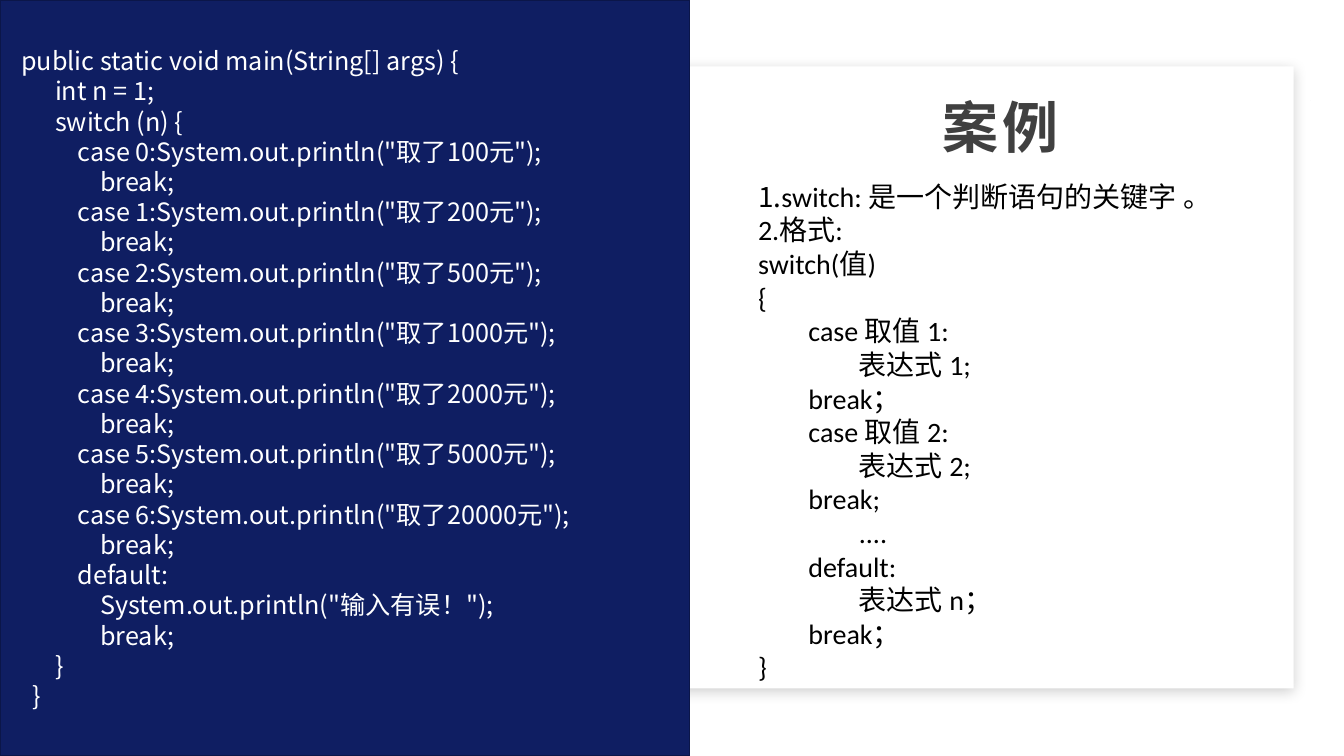
import math
from dataclasses import dataclass

from lxml import etree
from pptx import Presentation
from pptx import util as u
from pptx.dml.color import RGBColor
from pptx.enum import shapes, text
from pptx.oxml import ns


@dataclass(frozen=True)
class Theme:
    navy: str = "0F1E62"
    outline: str = "0B1649"
    white: str = "FFFFFF"
    black: str = "000000"
    heading: str = "404040"
    shadow: str = "0D0D0D"
    sans: str = "Noto Sans CJK SC"
    latin: str = "Calibri"
    title_size: int = 40
    note_size: int = 20
    code_size: int = 18


@dataclass(frozen=True)
class Area:
    left: float
    top: float
    width: float
    height: float

    def lengths(self):
        return [u.Inches(side) for side in (self.left, self.top, self.width, self.height)]


@dataclass(frozen=True)
class Style:
    size: int
    color: str
    latin: str
    bold: bool = False
    tracking: int = 0


THEME = Theme()
TITLE = Style(THEME.title_size, THEME.heading, THEME.sans, True, 300)
CODE = Style(THEME.code_size, THEME.white, THEME.sans)
NUMBER = Style(THEME.note_size, THEME.black, THEME.sans)
NOTE = Style(THEME.note_size, THEME.black, THEME.latin)

AMOUNTS = (100, 200, 500, 1000, 2000, 5000, 20000)
CASES = [
    line
    for index, amount in enumerate(AMOUNTS)
    for line in (
        f'            case {index}:System.out.println("取了{amount}元");',
        "                break;",
    )
]
CODE_LINES = [
    "  public static void main(String[] args) {",
    "        int n = 1;",
    "        switch (n) {",
    *CASES,
    "            default:",
    '                System.out.println("输入有误！");',
    "                break;",
    "        }",
    "    }",
]
SYNTAX_LINES = [
    "2.格式:",
    "switch(值)",
    "{",
    "\tcase 取值 1:",
    "\t\t表达式 1;",
    "\tbreak；",
    "\tcase 取值 2:",
    "\t\t表达式 2;",
    "\tbreak;",
    "\t\t....",
    "\tdefault:",
    "\t\t表达式 n；",
    "\tbreak；",
    "}",
]


def add_span(para, content: str, style: Style) -> None:
    span = para.add_run()
    span.text = content
    span.font.size = u.Pt(style.size)
    span.font.bold = style.bold
    span.font.color.rgb = RGBColor.from_string(style.color)
    span.font.name = style.latin
    properties = span.font._element
    etree.SubElement(properties, ns.qn("a:ea"), typeface=THEME.sans)
    if style.tracking:
        properties.set("spc", str(style.tracking))


def write_lines(frame, lines: list[list[tuple[str, Style]]]) -> None:
    frame.word_wrap = True
    for index, spans in enumerate(lines):
        para = frame.paragraphs[0] if index == 0 else frame.add_paragraph()
        para.alignment = text.PP_ALIGN.LEFT
        for content, style in spans:
            add_span(para, content, style)


def paint(shape, color: str) -> None:
    shape.shadow.inherit = False
    shape.fill.solid()
    shape.fill.fore_color.rgb = RGBColor.from_string(color)
    shape.line.fill.background()


def add_panel(page, area: Area, color: str):
    panel = page.shapes.add_shape(shapes.MSO_SHAPE.RECTANGLE, *area.lengths())
    paint(panel, color)
    return panel


def add_dots(page) -> None:
    left, top, step, radius, sides = 12.75, 0.28, 0.15, 0.04, 16
    contours = [
        [
            (
                left + step * column + radius * math.cos(math.tau * side / sides),
                top + step * row + radius * math.sin(math.tau * side / sides),
            )
            for side in range(sides)
        ]
        for row in range(3)
        for column in range(3)
    ]
    builder = page.shapes.build_freeform(*contours[0][0], scale=u.Inches(1))
    for index, points in enumerate(contours):
        if index:
            builder.move_to(*points[0])
        builder.add_line_segments(points[1:], close=True)
    paint(builder.convert_to_shape(), THEME.navy)


def add_soft_shadow(shape) -> None:
    effects = shape._element.spPr.find(ns.qn("a:effectLst"))
    shadow = etree.SubElement(
        effects,
        ns.qn("a:outerShdw"),
        blurRad=str(u.Pt(10)),
        dist=str(u.Pt(3)),
        dir="5400000",
        algn="ctr",
        rotWithShape="0",
    )
    color = etree.SubElement(shadow, ns.qn("a:srgbClr"), val=THEME.shadow)
    etree.SubElement(color, ns.qn("a:alpha"), val="20000")


def add_title(page) -> None:
    box = page.shapes.add_textbox(*Area(7.69, 0.66, 4.46, 1.12).lengths())
    frame = box.text_frame
    frame.margin_left = frame.margin_right = u.Inches(0.08)
    frame.margin_top, frame.margin_bottom = u.Inches(0.04), u.Inches(0.12)
    frame.vertical_anchor = text.MSO_ANCHOR.MIDDLE
    write_lines(frame, [[("案例", TITLE)]])
    frame.paragraphs[0].alignment = text.PP_ALIGN.CENTER
    frame.paragraphs[0].line_spacing = 1.2


def add_code(page) -> None:
    panel = add_panel(page, Area(0, 0, 6.84, 7.5), THEME.navy)
    panel.line.color.rgb = RGBColor.from_string(THEME.outline)
    panel.line.width = u.Pt(1)
    panel.text_frame.vertical_anchor = text.MSO_ANCHOR.MIDDLE
    write_lines(panel.text_frame, [[(line, CODE)] for line in CODE_LINES])


def add_notes(page) -> None:
    box = page.shapes.add_textbox(*Area(7.42, 1.73, 5.13, 5.15).lengths())
    opening = [("1.", NUMBER), ("switch: 是一个判断语句的关键字 。", NOTE)]
    write_lines(box.text_frame, [opening, *([(line, NOTE)] for line in SYNTAX_LINES)])
    box.text_frame.auto_size = text.MSO_AUTO_SIZE.SHAPE_TO_FIT_TEXT


def main() -> None:
    deck = Presentation()
    deck.slide_width, deck.slide_height = u.Inches(13.33), u.Inches(7.5)
    page = deck.slides.add_slide(deck.slide_layouts[6])
    add_dots(page)
    add_soft_shadow(add_panel(page, Area(0.5, 0.66, 12.33, 6.17), THEME.white))
    add_title(page)
    add_code(page)
    add_notes(page)
    deck.save("out.pptx")


if __name__ == "__main__":
    main()
